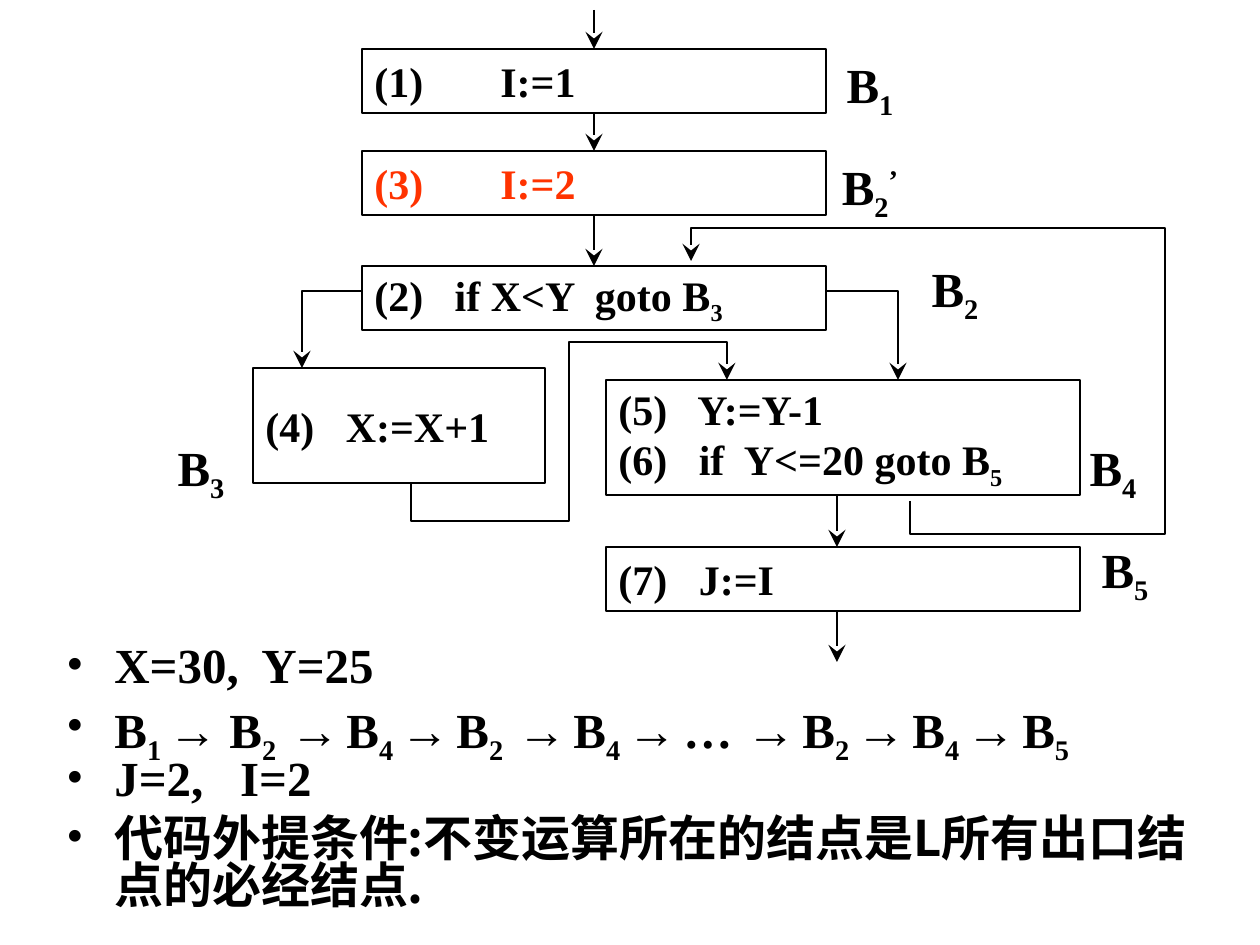
from lxml import etree
from pptx import Presentation
from pptx.dml.color import RGBColor
from pptx.enum.shapes import MSO_CONNECTOR, MSO_SHAPE
from pptx.enum.text import MSO_ANCHOR, PP_ALIGN
from pptx.oxml.ns import qn
from pptx.util import Emu, Pt

RECTANGLE = MSO_SHAPE.RECTANGLE
STRAIGHT = MSO_CONNECTOR.STRAIGHT
MIDDLE, TOP = MSO_ANCHOR.MIDDLE, MSO_ANCHOR.TOP
LEFT, CENTER = PP_ALIGN.LEFT, PP_ALIGN.CENTER
TOP_SIDE, BOTTOM_SIDE = 0, 2

COLORS = {"ink": "000000", "moved": "FF3300"}
SERIF, ARROW_FONT, CHINESE = "Times New Roman", "Arial", "Noto Sans CJK SC"
PX_PER_INCH = 126


def px(length):
    return Emu(round(length * 914400 / PX_PER_INCH))


def color(name):
    return RGBColor.from_string(COLORS[name])


def add_child(parent, tag, **attributes):
    return etree.SubElement(parent, qn(tag), attributes)


def add_span(para, text, size, font, ink, baseline=0):
    span = para.add_run()
    span.text = text
    span.font.size, span.font.bold, span.font.name = Pt(size), True, font
    span.font.color.rgb = color(ink)
    properties = span._r.get_or_add_rPr()
    add_child(properties, "a:ea", typeface=font)
    if baseline:
        properties.set("baseline", str(baseline * 1000))


def write(para, text, size=24, font=SERIF, ink="ink", align=LEFT):
    """Write text in which {x} is a subscript and {^x} a superscript."""
    para.alignment = align
    for index, part in enumerate(text.replace("}", "{").split("{")):
        if index % 2:
            baseline = 30 if part.startswith("^") else -25
            add_span(para, part.lstrip("^"), size, font, ink, baseline)
            continue
        for piece in filter(None, part.replace("→", "|→|").split("|")):
            face = ARROW_FONT if piece == "→" else font
            add_span(para, piece, size, face, ink)


def style_line(shape, width, arrow=False):
    shape.line.color.rgb = color("ink")
    shape.line.width = Pt(width)
    if arrow:
        add_child(shape.line._get_or_add_ln(), "a:tailEnd",
                  type="stealth", w="lg", len="lg")


def add_block(page, left, top, width, height, lines, ink="ink"):
    block = page.shapes.add_shape(RECTANGLE, px(left), px(top), px(width), px(height))
    block.shadow.inherit = False
    block.fill.background()
    style_line(block, 1)
    frame = block.text_frame
    frame.word_wrap, frame.vertical_anchor = True, MIDDLE
    for index, line in enumerate(lines):
        para = frame.add_paragraph() if index else frame.paragraphs[0]
        tabs = add_child(para._p.get_or_add_pPr(), "a:tabLst")
        add_child(tabs, "a:tab", pos=str(px(PX_PER_INCH)), algn="l")
        write(para, line, ink=ink)
    return block


def add_label(page, left, top, text):
    label = page.shapes.add_textbox(px(left), px(top), px(66), px(77))
    frame = label.text_frame
    frame.word_wrap, frame.vertical_anchor = True, MIDDLE
    frame.margin_left = frame.margin_right = 0
    write(frame.paragraphs[0], text, size=28, align=CENTER)


def add_arrow(page, start, end, source=None, target=None):
    arrow = page.shapes.add_connector(STRAIGHT, *map(px, start + end))
    if source:
        arrow.begin_connect(source, BOTTOM_SIDE)
    if target:
        arrow.end_connect(target, TOP_SIDE)
    style_line(arrow, 1.25, arrow=True)
    add_child(arrow._element.spPr, "a:effectLst")


def add_route(page, points):
    corners = [(px(x), px(y)) for x, y in points]
    builder = page.shapes.build_freeform(*corners[0], scale=1.0)
    builder.add_line_segments(corners[1:], close=False)
    route = builder.convert_to_shape()
    route.shadow.inherit = False
    route.fill.background()
    style_line(route, 1.25, arrow=True)


def draw_flow_graph(page, box):
    left, top = box

    def at(x, y):
        return left + x, top + y

    # Basic blocks
    block_specs = [
        (194, 39, 464, 64, ["(1)\tI:=1"], "ink"),
        (194, 141, 464, 64, ["(3)\tI:=2"], "moved"),
        (194, 256, 464, 64, ["(2)   if X<Y  goto B{3}"], "ink"),
        (85, 358, 292, 115, ["(4)   X:=X+1"], "ink"),
        (438, 370, 474, 115, ["(5)   Y:=Y-1", "(6)   if  Y<=20 goto B{5}"], "ink"),
        (438, 537, 474, 64, ["(7)   J:=I"], "ink"),
    ]
    blocks = [add_block(page, *at(x, y), *rest) for x, y, *rest in block_specs]

    # Block names
    for x, y, name in [
        (669, 39, "B{1}"), (669, 141, "B{2}{^’}"), (754, 243, "B{2}"),
        (0, 422, "B{3}"), (912, 422, "B{4}"), (924, 524, "B{5}"),
    ]:
        add_label(page, *at(x, y), name)

    # Straight edges
    first, moved, test = blocks[:3]
    add_arrow(page, at(426, 0), at(426, 39), target=first)
    add_arrow(page, at(426, 103), at(426, 141), first, moved)
    add_arrow(page, at(426, 205), at(426, 256), moved, test)
    add_arrow(page, at(669, 485), at(669, 537))
    add_arrow(page, at(669, 601), at(669, 652))

    # Bent edges: both branches of the test, the loop back, B3 to B4
    for points in [
        [(194, 281), (134, 281), (134, 358)],
        [(658, 281), (730, 281), (730, 370)],
        [(742, 491), (742, 524), (997, 524), (997, 218), (523, 218), (523, 251)],
        [(243, 473), (243, 511), (401, 511), (401, 332), (559, 332), (559, 370)],
    ]:
        add_route(page, [at(*point) for point in points])


def draw_notes(page, box):
    notes = page.shapes.add_textbox(*map(px, box))
    frame = notes.text_frame
    frame.word_wrap, frame.vertical_anchor = True, TOP
    trace = ("B{1 }→ B{2  }→{ }B{4 }→{ }B{2  }→{ }B{4 }→{ }…{  }"
             "→{ }B{2 }→{ }B{4 }→{ }B{5}")
    lines = [
        ("X=30,  Y=25", SERIF, 0),
        (trace, SERIF, 7),
        ("J=2,   I=2", SERIF, 0),
        ("代码外提条件:不变运算所在的结点是L所有出口结点的必经结点.", CHINESE, 7),
    ]
    for index, (text, font, space) in enumerate(lines):
        para = frame.add_paragraph() if index else frame.paragraphs[0]
        para.line_spacing, para.space_before = 0.8, Pt(space)
        properties = para._p.get_or_add_pPr()
        properties.set("marL", str(px(48)))
        properties.set("indent", str(-px(48)))
        bullet_color = add_child(properties, "a:buClr")
        add_child(bullet_color, "a:srgbClr", val=COLORS["ink"])
        add_child(properties, "a:buFont", typeface=SERIF)
        add_child(properties, "a:buChar", char="•")
        write(para, text, size=28, font=font)


def main():
    deck = Presentation()
    deck.slide_width, deck.slide_height = px(1260), px(945)
    page = deck.slides.add_slide(deck.slide_layouts[6])
    draw_flow_graph(page, (168, 10))
    draw_notes(page, (54, 640, 1160, 305))
    deck.save("out.pptx")


if __name__ == "__main__":
    main()
